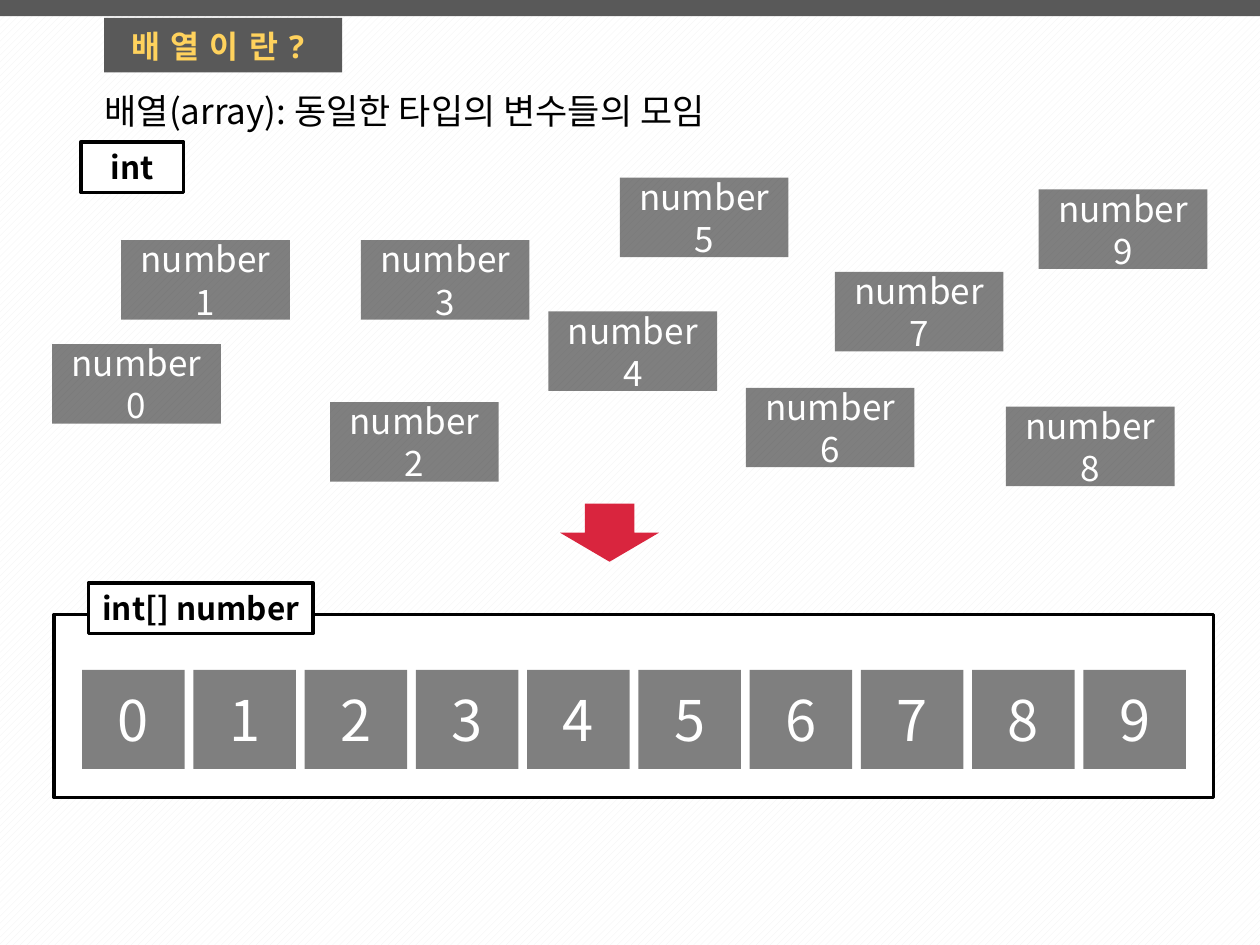
from lxml.etree import SubElement
from pptx import Presentation
from pptx.dml.color import RGBColor
from pptx.enum.dml import MSO_PATTERN
from pptx.enum.shapes import MSO_SHAPE
from pptx.enum.text import MSO_ANCHOR, MSO_AUTO_SIZE, PP_ALIGN
from pptx.oxml.ns import qn
from pptx.util import Pt

COLORS = {
    "bar": "595959",
    "title": "FFD25D",
    "arrow": "D9253E",
    "black": "000000",
    "white": "FFFFFF",
    "stripe": "F2F2F2",
}
SANS = "Noto Sans CJK KR"
TITLE = {"name": "Open Sans", "size": Pt(18), "bold": True}
BODY = {"name": SANS, "size": Pt(20)}
LABEL = {"name": SANS, "size": Pt(18), "bold": True}
DIGIT = {"name": SANS, "size": Pt(32)}

# Left and top of the loose variables number0 to number9
VARIABLES = [
    (29.8, 196.7), (69.2, 137.3), (188.6, 229.8), (206.2, 137.3), (313.4, 178),
    (354.2, 101.6), (426.2, 221.6), (477, 155.4), (574.8, 232.4), (593.5, 108.3),
]
CELL_COUNT = 10
CELL_LEFT, CELL_STEP = 46.9, 63.58


def rgb(name):
    return RGBColor.from_string(COLORS[name])


def write(shape, text, font, color, **frame_format):
    frame = shape.text_frame
    for key, value in frame_format.items():
        setattr(frame, key, value)
    para = frame.paragraphs[0]
    span = para.add_run()
    span.text = text
    for key, value in font.items():
        setattr(span.font, key, value)
    span.font.color.rgb = rgb(color)
    SubElement(span.font._element, qn("a:ea"), typeface=font["name"])
    return para, span


def add_block(shapes, bounds, fill, kind=MSO_SHAPE.RECTANGLE, border=None):
    block = shapes.add_shape(kind, *map(Pt, bounds))
    block.shadow.inherit = False
    block.fill.solid()
    block.fill.fore_color.rgb = rgb(fill)
    if border:
        block.line.color.rgb = rgb(border)
        block.line.width = Pt(2)
    else:
        block.line.fill.background()
    return block


def add_variable(shapes, bounds, text, font):
    """Add a half-transparent black box with centred white text."""
    box = add_block(shapes, bounds, "black")
    color = box.fill._xPr.find(f".//{qn('a:srgbClr')}")
    SubElement(color, qn("a:alpha"), val="50000")
    para, _ = write(box, text, font, "white", word_wrap=True,
                    vertical_anchor=MSO_ANCHOR.MIDDLE)
    para.alignment = PP_ALIGN.CENTER


def add_type_label(shapes, bounds, text):
    label = add_block(shapes, bounds, "white", border="black")
    para, _ = write(label, text, LABEL, "black", word_wrap=True,
                    vertical_anchor=MSO_ANCHOR.TOP,
                    auto_size=MSO_AUTO_SIZE.SHAPE_TO_FIT_TEXT)
    para.alignment = PP_ALIGN.CENTER


def add_text(shapes, bounds, text, font, color):
    box = shapes.add_textbox(*map(Pt, bounds))
    _, span = write(box, text, font, color, word_wrap=False,
                    auto_size=MSO_AUTO_SIZE.SHAPE_TO_FIT_TEXT)
    return span


def set_background(page):
    fill = page.background.fill
    fill.patterned()
    fill.pattern = MSO_PATTERN.WIDE_UPWARD_DIAGONAL
    fill.fore_color.rgb = rgb("stripe")
    fill.back_color.rgb = rgb("white")


def add_heading(shapes):
    add_block(shapes, (59.5, 10.2, 136, 31.2), "bar")
    add_block(shapes, (0, 0, 720, 9.2), "bar")
    title = add_text(shapes, (67.8, 12, 127.3, 29), "배열이란?", TITLE, "title")
    title.font._element.set("spc", "600")
    add_text(shapes, (52.6, 47.5, 387, 31.5),
             "배열(array): 동일한 타입의 변수들의 모임", BODY, "black")


def add_array(shapes):
    add_block(shapes, (31, 351.2, 662.5, 104.6), "white", border="black")
    add_type_label(shapes, (50.6, 333, 128.2, 29), "int[] number")
    cells = shapes.add_group_shape().shapes
    for index in range(CELL_COUNT):
        left = CELL_LEFT + index * CELL_STEP
        add_variable(cells, (left, 382.8, 58.6, 56.7), str(index), DIGIT)


def add_loose_variables(shapes):
    group = shapes.add_group_shape().shapes
    for index, (left, top) in enumerate(VARIABLES):
        add_variable(group, (left, top, 96.4, 45.4), f"number{index}", BODY)
    add_type_label(shapes, (46.2, 81, 58.6, 29), "int")


def main():
    deck = Presentation()
    deck.slide_width, deck.slide_height = Pt(720), Pt(540)
    page = deck.slides.add_slide(deck.slide_layouts[6])
    set_background(page)
    add_heading(page.shapes)
    add_block(page.shapes, (320, 287.8, 56.6, 33.2), "arrow", MSO_SHAPE.DOWN_ARROW)
    add_array(page.shapes)
    add_loose_variables(page.shapes)
    deck.save("out.pptx")


if __name__ == "__main__":
    main()
